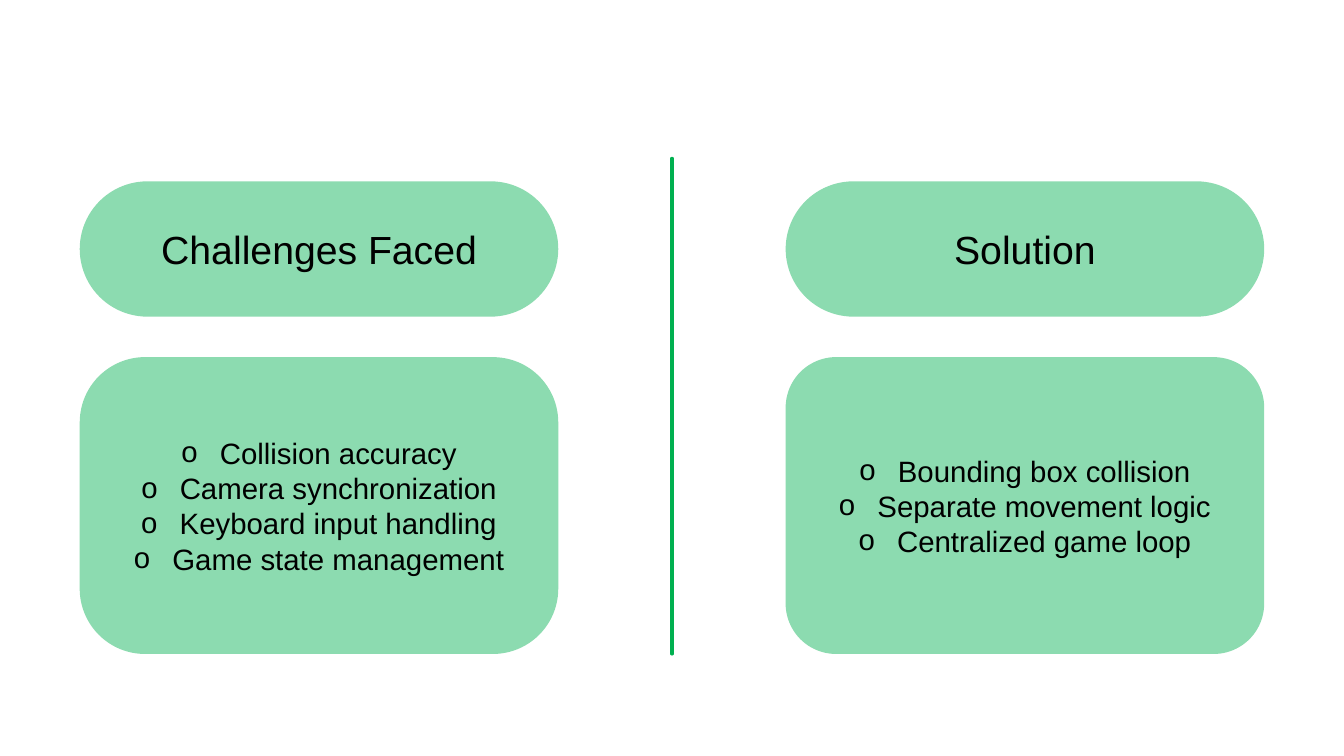
import pptx
import pptx.util
import pptx.dml.color
import pptx.enum.shapes
import pptx.enum.text
import pptx.oxml
import pptx.oxml.ns

Cm = pptx.util.Cm
COLORS = {"green": "00B050", "text": "000000"}
FONT = "Arial"
SLIDE_WIDTH, SLIDE_HEIGHT = 33.87, 19.05
MARGIN, CARD_WIDTH = 2.01, 12.06
HEADING_TOP, HEADING_HEIGHT = 4.57, 3.41
CARD_TOP, CARD_BOTTOM = 9, 16.48
DIVIDER_TOP = 3.99
TOPICS = [
    ("Challenges Faced", 0.22, ["Collision accuracy", "Camera synchronization",
                                "Keyboard input handling", "Game state management"]),
    ("Solution", 0.17, ["Bounding box collision", "Separate movement logic",
                        "Centralized game loop"]),
]


def rgb(name):
    return pptx.dml.color.RGBColor.from_string(COLORS[name])


def add_xml(parent, tag, **attributes):
    element = pptx.oxml.parse_xml(f"<a:{tag} {pptx.oxml.ns.nsdecls('a')}/>")
    for key, setting in attributes.items():
        element.set(key, setting)
    parent.append(element)


def write_text(paragraph, text, size=21, color="text", bullet=None, indent=0.97):
    if bullet:
        properties = paragraph._p.get_or_add_pPr()
        properties.set("marL", str(Cm(indent)))
        properties.set("indent", str(-Cm(indent)))
        add_xml(properties, "buFont", typeface=FONT)
        add_xml(properties, "buChar", char=bullet)
    paragraph.alignment = pptx.enum.text.PP_ALIGN.CENTER
    run = paragraph.add_run()
    run.text = text
    run.font.name = FONT
    run.font.size = pptx.util.Pt(size)
    run.font.color.rgb = rgb(color)


class ComparisonSlide:
    """Hold the slide and draw its cards and divider in one style."""

    def __init__(self, deck):
        self.slide = deck.slides.add_slide(deck.slide_layouts[6])
        self.color = "green"
        self.opacity = 45

    def card(self, left, top, height, rounding, lines, **text_format):
        card = self.slide.shapes.add_shape(
            pptx.enum.shapes.MSO_SHAPE.ROUNDED_RECTANGLE,
            Cm(left), Cm(top), Cm(CARD_WIDTH), Cm(height))
        card.adjustments[0] = rounding
        card.shadow.inherit = False
        card.fill.solid()
        card.fill.fore_color.rgb = rgb(self.color)
        tint = card._element.spPr.find(".//" + pptx.oxml.ns.qn("a:srgbClr"))
        add_xml(tint, "alpha", val=str(self.opacity * 1000))
        card.line.fill.background()
        frame = card.text_frame
        frame.word_wrap = True
        frame.vertical_anchor = pptx.enum.text.MSO_ANCHOR.MIDDLE
        for index, line in enumerate(lines):
            paragraph = frame.add_paragraph() if index else frame.paragraphs[0]
            write_text(paragraph, line, **text_format)

    def divider(self, x, top, bottom, weight=2.25):
        divider = self.slide.shapes.add_connector(
            pptx.enum.shapes.MSO_CONNECTOR.STRAIGHT, Cm(x), Cm(top), Cm(x), Cm(bottom))
        divider.line.color.rgb = rgb(self.color)
        divider.line.width = pptx.util.Pt(weight)
        divider.line._ln.set("cap", "rnd")
        add_xml(divider._element.spPr, "effectLst")


def main():
    deck = pptx.Presentation()
    deck.slide_width, deck.slide_height = Cm(SLIDE_WIDTH), Cm(SLIDE_HEIGHT)
    comparison = ComparisonSlide(deck)
    column_lefts = (MARGIN, SLIDE_WIDTH - MARGIN - CARD_WIDTH)
    for left, (heading, rounding, points) in zip(column_lefts, TOPICS):
        comparison.card(left, CARD_TOP, CARD_BOTTOM - CARD_TOP, rounding, points, bullet="o")
        comparison.card(left, HEADING_TOP, HEADING_HEIGHT, 0.5, [heading], size=28)
    comparison.divider(SLIDE_WIDTH / 2, DIVIDER_TOP, CARD_BOTTOM)
    deck.save("out.pptx")


if __name__ == "__main__":
    main()
